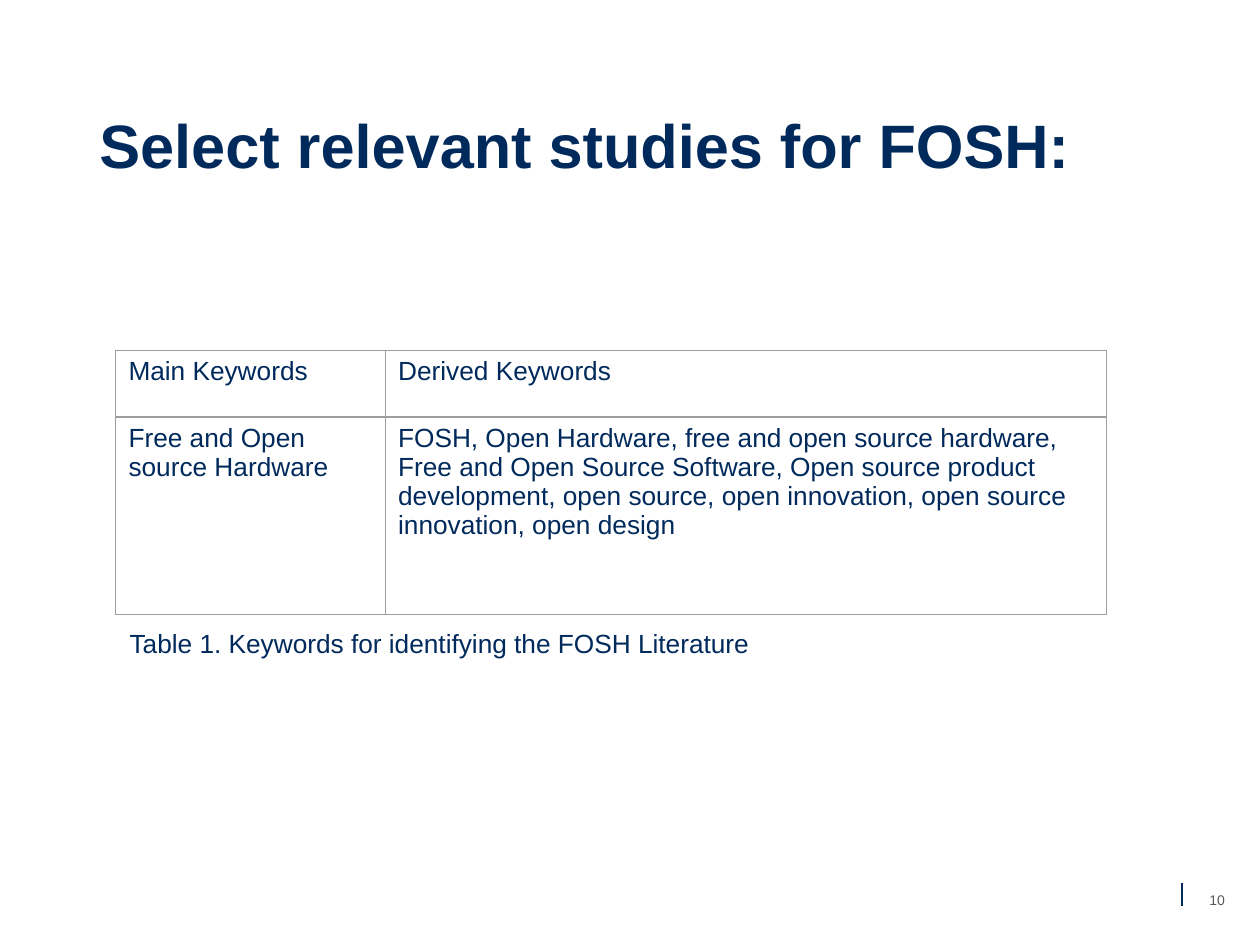
import pptx
import pptx.dml.color
import pptx.enum.shapes
import pptx.enum.text
import pptx.oxml.ns
import pptx.util
from lxml import etree
from pptx.util import Inches

NAVY = pptx.dml.color.RGBColor(0x00, 0x2A, 0x5C)
GRAY = pptx.dml.color.RGBColor(0x59, 0x59, 0x59)
BORDER = pptx.dml.color.RGBColor(0x9E, 0x9E, 0x9E)
ANCHOR = pptx.enum.text.MSO_ANCHOR
ALIGN = pptx.enum.text.PP_ALIGN
qn = pptx.oxml.ns.qn


class SlideBuilder:
    """Holds the style and the slide being built."""

    font_name = "Arial"
    line_width = pptx.util.Pt(0.75)

    def __init__(self, slide):
        self.slide = slide

    def fill_frame(self, frame, text, size, color=NAVY, bold=False, **paragraph_format):
        paragraph = frame.paragraphs[0]
        for name, value in paragraph_format.items():
            setattr(paragraph, name, value)
        run = paragraph.add_run()
        run.text = text
        font_format = {"name": self.font_name, "size": pptx.util.Pt(size), "bold": bold}
        for name, value in font_format.items():
            setattr(run.font, name, value)
        run.font.color.rgb = color

    def text(self, box, text, size, anchor=ANCHOR.BOTTOM, margin=0.05, **style):
        shape = self.slide.shapes.add_textbox(*map(Inches, box))
        frame_format = {
            "word_wrap": True,
            "vertical_anchor": anchor,
            "margin_left": Inches(0.1),
            "margin_right": Inches(0.1),
            "margin_top": Inches(margin),
            "margin_bottom": Inches(margin),
        }
        for name, value in frame_format.items():
            setattr(shape.text_frame, name, value)
        self.fill_frame(shape.text_frame, text, size, **style)

    def line(self, start, end, color=NAVY):
        connector = self.slide.shapes.add_connector(
            pptx.enum.shapes.MSO_CONNECTOR.STRAIGHT, *map(Inches, start + end))
        connector.line.color.rgb = color
        connector.line.width = self.line_width
        etree.SubElement(connector._element.spPr, qn("a:effectLst"))

    def cell_borders(self, cell):
        properties = cell._tc.get_or_add_tcPr()
        for position, side in enumerate(("lnL", "lnR", "lnT", "lnB")):
            border = etree.Element(qn(f"a:{side}"), w=str(int(self.line_width)))
            fill = etree.SubElement(border, qn("a:solidFill"))
            etree.SubElement(fill, qn("a:srgbClr"), val=str(BORDER))
            properties.insert(position, border)

    def table(self, left, top, widths, heights, rows, size):
        box = (left, top, sum(widths), sum(heights))
        table = self.slide.shapes.add_table(
            len(heights), len(widths), *map(Inches, box)).table
        table.first_row = table.horz_banding = False
        for column, width in zip(table.columns, widths):
            column.width = Inches(width)
        for row, height, texts in zip(table.rows, heights, rows):
            row.height = Inches(height)
            for cell, text in zip(row.cells, texts):
                cell.fill.background()
                self.cell_borders(cell)
                self.fill_frame(cell.text_frame, text, size)


def main():
    presentation = pptx.Presentation()
    presentation.slide_width = Inches(10)
    presentation.slide_height = Inches(7.5)
    builder = SlideBuilder(presentation.slides.add_slide(presentation.slide_layouts[6]))

    # Title
    builder.text((0.69, 0.24, 9, 1.25), "Select relevant studies for FOSH:", 35,
                 bold=True, line_spacing=0.9)

    # Keyword table and its caption
    builder.table(0.92, 2.78, (2.14, 5.72), (0.53, 1.57), (
        ("Main Keywords", "Derived Keywords"),
        ("Free and Open source Hardware",
         "FOSH, Open Hardware, free and open source hardware, "
         "Free and Open Source Software, Open source product development, "
         "open source, open innovation, open source innovation, open design"),
    ), 15)
    builder.text((0.93, 4.88, 7.85, 0.45),
                 "Table 1. Keywords for identifying the FOSH Literature", 15, margin=0.1)

    # Footer
    builder.line((9.38, 7.01), (9.38, 7.19))
    builder.text((9.48, 6.99, 0.36, 0.31), "10", 8, anchor=ANCHOR.MIDDLE,
                 color=GRAY, alignment=ALIGN.CENTER)

    presentation.save("out.pptx")


if __name__ == "__main__":
    main()
